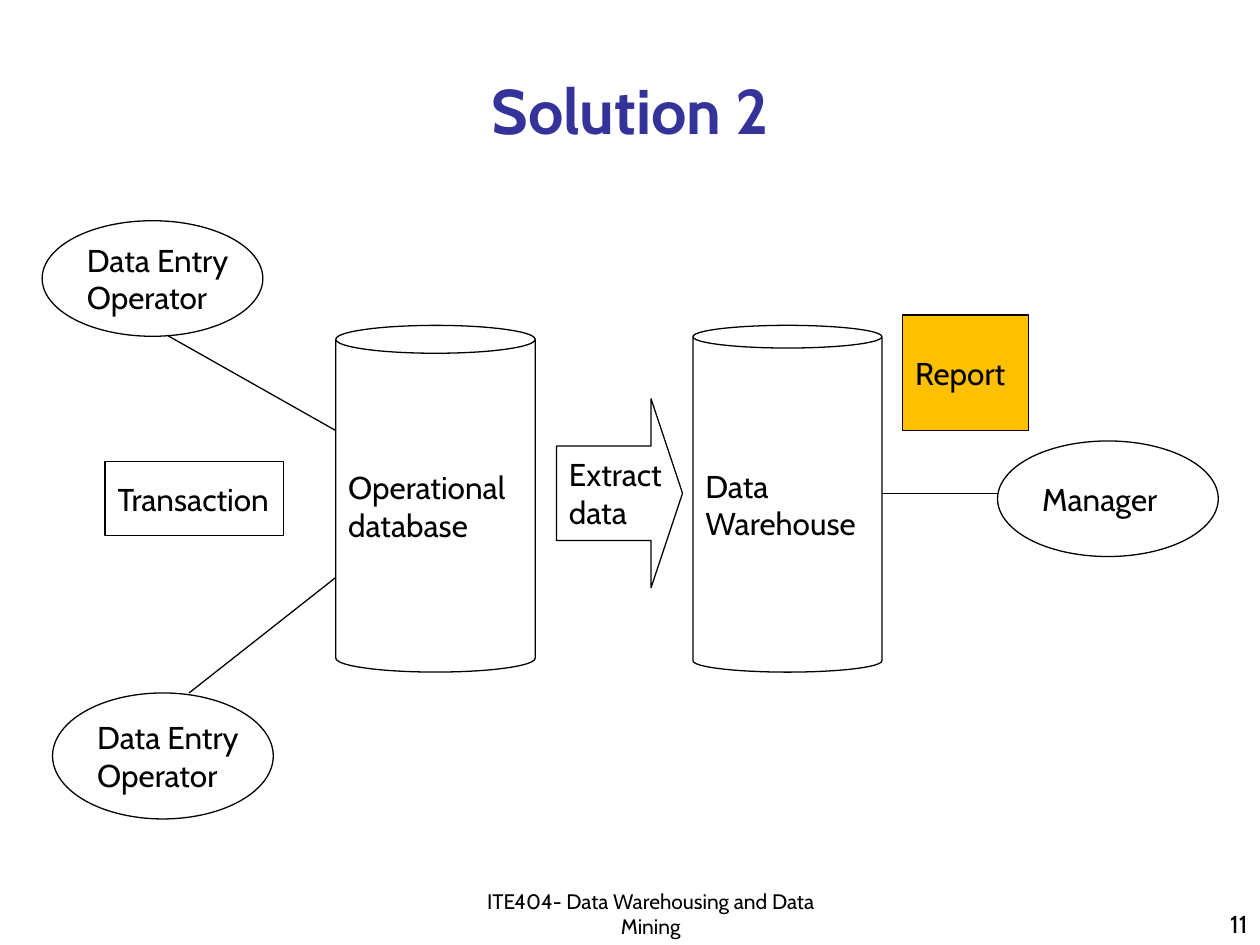
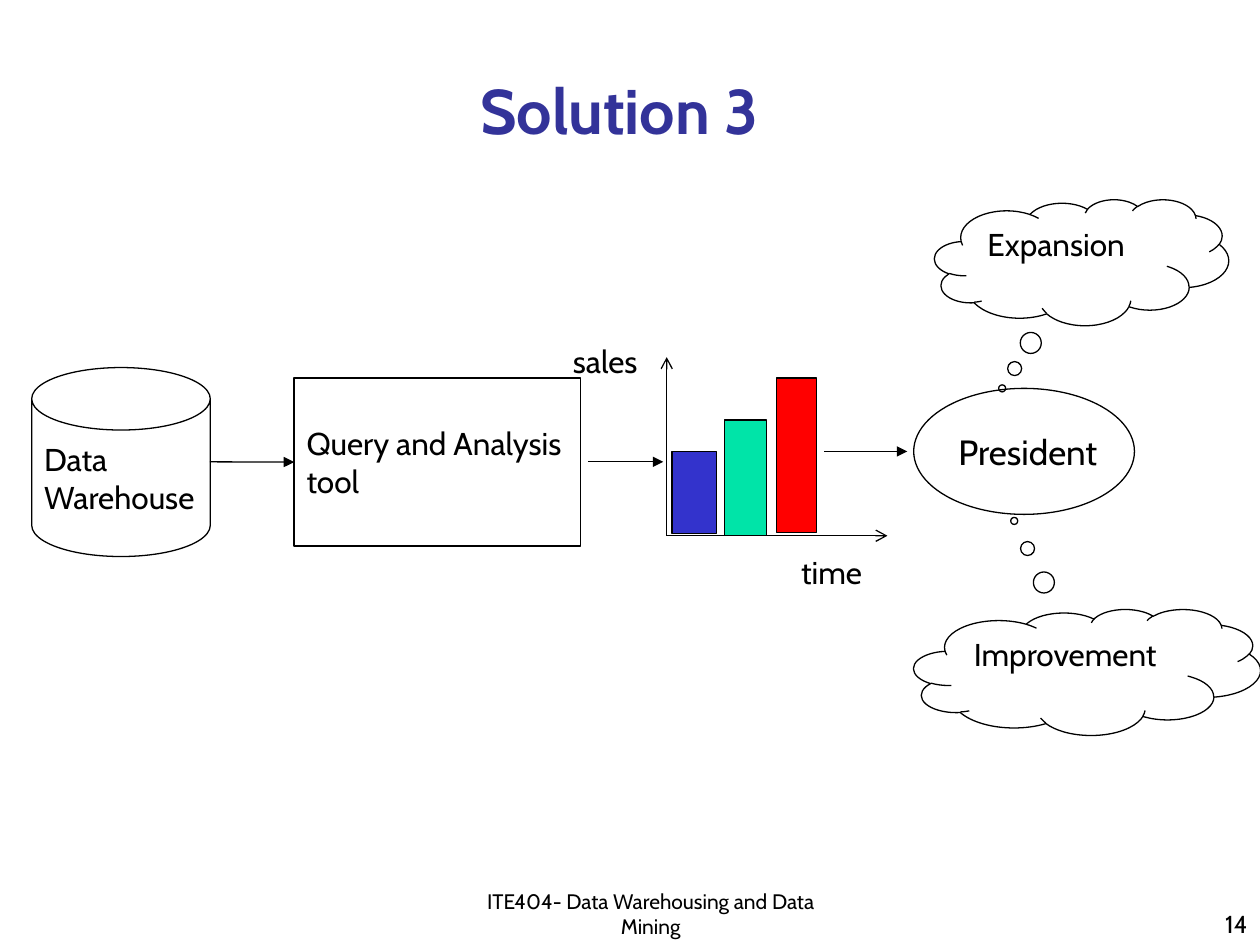
from dataclasses import dataclass, field
from typing import Any, Optional

from lxml.etree import SubElement
from pptx import Presentation
from pptx.dml.color import RGBColor
from pptx.enum.shapes import MSO_CONNECTOR, MSO_SHAPE
from pptx.enum.text import MSO_ANCHOR, MSO_AUTO_SIZE, PP_ALIGN
from pptx.oxml.ns import qn
from pptx.util import Cm, Pt


@dataclass(frozen=True)
class Theme:
    font: str = "Cabin"
    black: str = "000000"
    white: str = "FFFFFF"
    title_color: str = "333399"
    report_fill: str = "FFC000"
    bar_blue: str = "3333CC"
    bar_green: str = "00E4A8"
    bar_red: str = "FF0000"
    title_size: float = 36
    president_size: float = 20
    body_size: float = 18
    number_size: float = 14
    footer_size: float = 12
    line_width: float = 0.75


THEME = Theme()
FOOTER = "ITE404- Data Warehousing and Data Mining"
TITLE_ONLY_LAYOUT = 5
INSETS = dict(margin_left=Cm(0.25), margin_right=Cm(0.25),
              margin_top=Cm(0.13), margin_bottom=Cm(0.13))
NO_INSETS = dict.fromkeys(INSETS, 0)


@dataclass(frozen=True)
class Box:
    left: float
    top: float
    width: float
    height: float

    def lengths(self) -> tuple[Cm, Cm, Cm, Cm]:
        return Cm(self.left), Cm(self.top), Cm(self.width), Cm(self.height)


@dataclass(frozen=True)
class Node:
    kind: MSO_SHAPE
    box: Box
    lines: tuple[str, ...] = ()
    fill: Optional[str] = None
    adjustments: tuple[float, ...] = ()
    size: float = THEME.body_size
    anchor: MSO_ANCHOR = MSO_ANCHOR.MIDDLE
    wrap: bool = False


@dataclass(frozen=True)
class Label:
    text: str
    box: Box
    size: float = THEME.body_size
    align: PP_ALIGN = PP_ALIGN.LEFT
    anchor: MSO_ANCHOR = MSO_ANCHOR.TOP
    wrap: bool = False
    auto_size: MSO_AUTO_SIZE = MSO_AUTO_SIZE.SHAPE_TO_FIT_TEXT


@dataclass(frozen=True)
class Link:
    start: tuple[float, float]
    end: tuple[float, float]
    arrow: Optional[str] = None
    end_node: Optional[str] = None
    end_side: int = 1


@dataclass(frozen=True)
class Diagram:
    title: str
    title_box: Box
    number: str
    nodes: dict[str, Node]
    links: list[Link]
    labels: list[Label] = field(default_factory=list)


def set_format(target: Any, values: dict[str, Any]) -> None:
    for name, value in values.items():
        setattr(target, name, value)


def write_text(shape: Any, lines: tuple[str, ...], size: float,
               align: PP_ALIGN, frame_format: dict[str, Any],
               color: str = THEME.black, bold: bool = False) -> None:
    frame = shape.text_frame
    frame.text = "\n".join(lines)
    set_format(frame, frame_format)
    for paragraph in frame.paragraphs:
        paragraph.alignment = align
        set_format(paragraph.font,
                   dict(name=THEME.font, size=Pt(size), bold=bold))
        paragraph.font.color.rgb = RGBColor.from_string(color)


def set_line(line: Any) -> None:
    line.color.rgb = RGBColor.from_string(THEME.black)
    line.width = Pt(THEME.line_width)


def add_node(slide: Any, node: Node) -> Any:
    shape = slide.shapes.add_shape(node.kind, *node.box.lengths())
    shape.shadow.inherit = False
    for index, value in enumerate(node.adjustments):
        shape.adjustments[index] = value
    if node.fill:
        shape.fill.solid()
        shape.fill.fore_color.rgb = RGBColor.from_string(node.fill)
    else:
        shape.fill.background()
    set_line(shape.line)
    if node.lines:
        write_text(shape, node.lines, node.size, PP_ALIGN.LEFT,
                   dict(INSETS, word_wrap=node.wrap,
                        vertical_anchor=node.anchor))
    return shape


def add_label(slide: Any, label: Label) -> None:
    shape = slide.shapes.add_textbox(*label.box.lengths())
    write_text(shape, (label.text,), label.size, label.align,
               dict(INSETS, word_wrap=label.wrap, auto_size=label.auto_size,
                    vertical_anchor=label.anchor))


def add_link(slide: Any, link: Link, shapes: dict[str, Any]) -> None:
    points = [Cm(value) for value in (*link.start, *link.end)]
    connector = slide.shapes.add_connector(MSO_CONNECTOR.STRAIGHT, *points)
    if link.end_node:
        connector.end_connect(shapes[link.end_node], link.end_side)
    set_line(connector.line)
    if link.arrow:
        SubElement(connector.line._get_or_add_ln(), qn("a:tailEnd"),
                   type=link.arrow)
    SubElement(connector._element.spPr, qn("a:effectLst"))


def add_title(slide: Any, text: str, box: Box) -> None:
    title = slide.shapes.title
    set_format(title, dict(zip(("left", "top", "width", "height"),
                               box.lengths())))
    write_text(title, (text,), THEME.title_size, PP_ALIGN.CENTER,
               dict(NO_INSETS, word_wrap=True, auto_size=MSO_AUTO_SIZE.NONE,
                    vertical_anchor=MSO_ANCHOR.BOTTOM),
               THEME.title_color, True)


def add_footer(slide: Any, number: str) -> None:
    shared = dict(anchor=MSO_ANCHOR.BOTTOM, wrap=True,
                  auto_size=MSO_AUTO_SIZE.NONE)
    add_label(slide, Label(number, Box(20.11, 17.78, 5.29, 1.27),
                           THEME.number_size, PP_ALIGN.RIGHT, **shared))
    add_label(slide, Label(FOOTER, Box(9.1, 17.99, 8.04, 1.06),
                           THEME.footer_size, PP_ALIGN.CENTER, **shared))


def add_diagram(presentation: Any, diagram: Diagram) -> None:
    layout = presentation.slide_layouts[TITLE_ONLY_LAYOUT]
    slide = presentation.slides.add_slide(layout)
    add_title(slide, diagram.title, diagram.title_box)
    shapes = {name: add_node(slide, node)
              for name, node in diagram.nodes.items()}
    for link in diagram.links:
        add_link(slide, link, shapes)
    for label in diagram.labels:
        add_label(slide, label)
    add_footer(slide, diagram.number)


def operator(left: float, top: float, height: float) -> Node:
    return Node(MSO_SHAPE.OVAL, Box(left, top, 4.45, height),
                ("Data Entry", "Operator"))


def warehouse(box: Box, rim: float) -> Node:
    return Node(MSO_SHAPE.CAN, box, ("Data", "Warehouse"),
                adjustments=(rim,))


def thought(text: str, box: Box, tail: tuple[float, float]) -> Node:
    return Node(MSO_SHAPE.CLOUD_CALLOUT, box, (text,), adjustments=tail,
                anchor=MSO_ANCHOR.TOP, wrap=True)


def bar(box: Box, color: str) -> Node:
    return Node(MSO_SHAPE.RECTANGLE, box, fill=color)


SOLUTION_2 = Diagram(
    "Solution 2", Box(1.91, 1.69, 21.59, 1.27), "11",
    nodes={
        "database": Node(MSO_SHAPE.CAN, Box(6.77, 6.56, 4.02, 6.99),
                         ("Operational", "database"), adjustments=(0.14,)),
        "warehouse": warehouse(Box(13.97, 6.56, 3.81, 6.99), 0.12),
        "extract": Node(MSO_SHAPE.RIGHT_ARROW, Box(11.22, 8.04, 2.54, 3.81),
                        ("Extract", "data"), adjustments=(0.5, 0.25)),
        "lower operator": operator(1.06, 13.97, 2.54),
        "upper operator": operator(0.85, 4.45, 2.33),
        "manager": Node(MSO_SHAPE.OVAL, Box(20.11, 8.89, 4.45, 2.33),
                        ("Manager",)),
        "report": Node(MSO_SHAPE.RECTANGLE, Box(18.2, 6.35, 2.54, 2.33),
                       ("Report",), THEME.report_fill),
        "transaction": Node(MSO_SHAPE.RECTANGLE, Box(2.12, 9.31, 3.6, 1.48),
                            ("Transaction",), THEME.white),
    },
    links=[
        Link((3.39, 6.77), (6.77, 8.68)),
        Link((3.81, 13.97), (6.77, 11.64)),
        Link((17.78, 9.95), (20.11, 9.95)),
    ],
)

AXIS_ORIGIN = (13.44, 10.8)
SOLUTION_3 = Diagram(
    "Solution 3", Box(1.69, 1.06, 21.59, 1.91), "14",
    nodes={
        "green bar": bar(Box(14.61, 8.47, 0.85, 2.33), THEME.bar_green),
        "red bar": bar(Box(15.66, 7.62, 0.8, 3.12), THEME.bar_red),
        "blue bar": bar(Box(13.55, 9.1, 0.89, 1.65), THEME.bar_blue),
        "tool": Node(MSO_SHAPE.RECTANGLE, Box(5.93, 7.62, 5.78, 3.39),
                     ("Query and Analysis", "tool")),
        "president": Node(MSO_SHAPE.OVAL, Box(18.42, 7.83, 4.45, 2.54),
                          ("President",), size=THEME.president_size),
        "expansion": thought("Expansion", Box(18.84, 4.02, 5.93, 2.54),
                             (-0.27, 1)),
        "improvement": thought("Improvement", Box(18.42, 12.28, 6.99, 2.54),
                               (-0.21, -1.2)),
        "warehouse": warehouse(Box(0.64, 7.41, 3.6, 3.81), 0.35),
    },
    links=[
        Link(AXIS_ORIGIN, (AXIS_ORIGIN[0], 7.2), "arrow"),
        Link(AXIS_ORIGIN, (17.89, AXIS_ORIGIN[1]), "arrow"),
        Link((4.23, 9.31), (5.93, 9.31), "triangle", "tool"),
        Link((11.85, 9.31), (13.37, 9.31), "triangle"),
        Link((16.62, 9.1), (18.29, 9.1), "triangle"),
    ],
    labels=[
        Label("sales", Box(11.3, 6.77, 1.98, 1.02)),
        Label("time", Box(15.9, 11.01, 1.85, 1.02)),
    ],
)


def main() -> None:
    presentation = Presentation()
    set_format(presentation,
               dict(slide_width=Cm(25.4), slide_height=Cm(19.05)))
    for diagram in (SOLUTION_2, SOLUTION_3):
        add_diagram(presentation, diagram)
    presentation.save("out.pptx")


if __name__ == "__main__":
    main()
